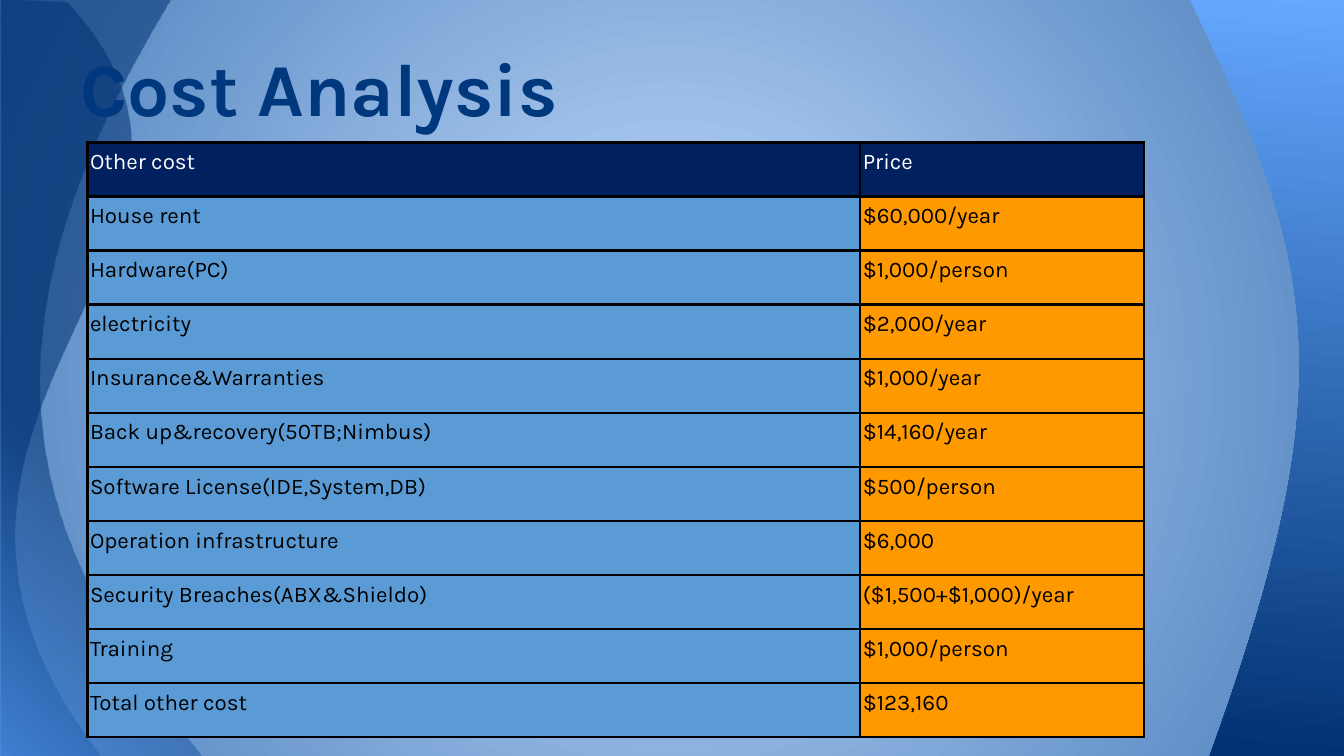
from lxml import etree
from pptx import Presentation
from pptx import util as u
from pptx.dml.color import RGBColor
from pptx.enum import text
from pptx.oxml import parse_xml
from pptx.oxml.ns import nsdecls, qn


def paint_gradient(fill, holder, stops, shade):
    fill.solid()
    marks = "".join(
        f'<a:gs pos="{place * 1000}"><a:srgbClr val="{tone}">'
        f'<a:alpha val="{alpha * 1000}"/></a:srgbClr></a:gs>'
        for place, tone, alpha in stops)
    gradient = parse_xml(
        f'<a:gradFill rotWithShape="1" {nsdecls("a")}><a:gsLst>{marks}</a:gsLst>{shade}</a:gradFill>')
    solid = holder.find(qn("a:solidFill"))
    holder.replace(solid, gradient)


def add_span(para, words, size, tone, bold=False):
    span = para.add_run()
    span.text = words
    span.font.name = "Karla"
    span.font.size = u.Pt(size)
    span.font.bold = bold
    span.font.color.rgb = RGBColor.from_string(tone)


deck = Presentation()
deck.slide_width = u.Inches(10)
deck.slide_height = u.Inches(10) * 9 // 16
page = deck.slides.add_slide(deck.slide_layouts[6])

circle = '<a:path path="circle"><a:fillToRect l="{}" t="{}" r="{}" b="{}"/></a:path>'
center = circle.format(50000, 50000, 50000, 50000)
corner = circle.format(0, 100000, 100000, 0)
slant = '<a:lin ang="5700000" scaled="0"/>'

backdrop = page.background.fill
paint_gradient(backdrop, page.element.find(".//" + qn("p:bgPr")),
               [(0, "C6DFFF", 100), (100, "4F81BD", 100)], center)

haze = [(0, "549FFF", 54), (41, "003171", 54), (100, "003171", 54)]
sky = [(0, "65A8FF", 100), (100, "003171", 100)]
waves = [
    ([(1.5, 5.62), (-0.01, 5.63), (-0.01, 3.74), (0, 1.86), (0, -0.02),
      (1.27, 0), (-0.38, 2.72), (0.33, 4.13), (1.5, 5.62)], (2, 6), haze, corner),
    ([(0.75, 5.62), (0.01, 5.63), (0.01, 3.75), (0.01, 1.88), (0.01, 0),
      (0.5, 0.02), (2.17, 1.82), (-1.22, 3.08), (0.75, 5.62)], (2, 6), haze, corner),
    ([(10.05, 5.63), (9, 5.63), (10.01, 2.84), (9.81, 1.96), (8.85, -0.01),
      (10.05, -0.01), (10.05, 5.63)], (2,), sky, slant),
]
for points, curve_starts, stops, shade in waves:
    corners = [(u.Inches(x), u.Inches(y)) for x, y in points]
    builder = page.shapes.build_freeform(*corners[0])
    builder.add_line_segments(corners[1:], close=True)
    wave = builder.convert_to_shape()
    wave.shadow.inherit = False
    wave.line.fill.background()
    paint_gradient(wave.fill, wave.element.spPr, stops, shade)
    outline = wave.element.find(".//" + qn("a:pathLst"))[0]
    steps = list(outline)
    for start in curve_starts:
        curve = etree.Element(qn("a:cubicBezTo"))
        steps[start].addprevious(curve)
        for step in steps[start:start + 3]:
            curve.append(step[0])
            outline.remove(step)

costs = [
    ("Other cost", "Price"),
    ("House rent", "$60,000/year"),
    ("Hardware(PC)", "$1,000/person"),
    ("electricity", "$2,000/year"),
    ("Insurance&Warranties", "$1,000/year"),
    ("Back up&recovery(50TB;Nimbus)", "$14,160/year"),
    ("Software License(IDE,System,DB)", "$500/person"),
    ("Operation infrastructure", "$6,000"),
    ("Security Breaches(ABX&Shieldo)", "($1,500+$1,000)/year"),
    ("Training", "$1,000/person"),
    ("Total other cost", "$123,160"),
]
table = page.shapes.add_table(len(costs), 2, u.Inches(0.65), u.Inches(1.06),
                              u.Inches(7.86), u.Inches(4.43)).table
for column, width in zip(table.columns, (5.75, 2.11)):
    column.width = u.Inches(width)
for row_number, entries in enumerate(costs):
    header = row_number == 0
    fills = ("002060", "002060") if header else ("5B9BD5", "FF9900")
    for column_number, (words, tone) in enumerate(zip(entries, fills)):
        cell = table.cell(row_number, column_number)
        cell.margin_left = cell.margin_right = u.Inches(0.02)
        cell.margin_top = cell.margin_bottom = u.Inches(0.02)
        para = cell.text_frame.paragraphs[0]
        para.line_spacing = 1.15
        add_span(para, words, 12, "FFFFFF" if header else "000000")
        properties = cell._tc.get_or_add_tcPr()
        for side in ("lnL", "lnR", "lnT", "lnB"):
            properties.append(parse_xml(
                f'<a:{side} w="{u.Pt(1.5)}" {nsdecls("a")}><a:solidFill>'
                f'<a:srgbClr val="000000"/></a:solidFill></a:{side}>'))
        cell.fill.solid()
        cell.fill.fore_color.rgb = RGBColor.from_string(tone)

title = page.shapes.add_textbox(u.Inches(0.5), u.Inches(0.1), u.Inches(9), u.Inches(1.09))
frame = title.text_frame
frame.word_wrap = True
frame.vertical_anchor = text.MSO_ANCHOR.MIDDLE
frame.margin_left = frame.margin_right = u.Inches(0.1)
frame.margin_top = frame.margin_bottom = u.Inches(0.1)
add_span(frame.paragraphs[0], "Cost Analysis", 40, "00387E", bold=True)

deck.save("out.pptx")
